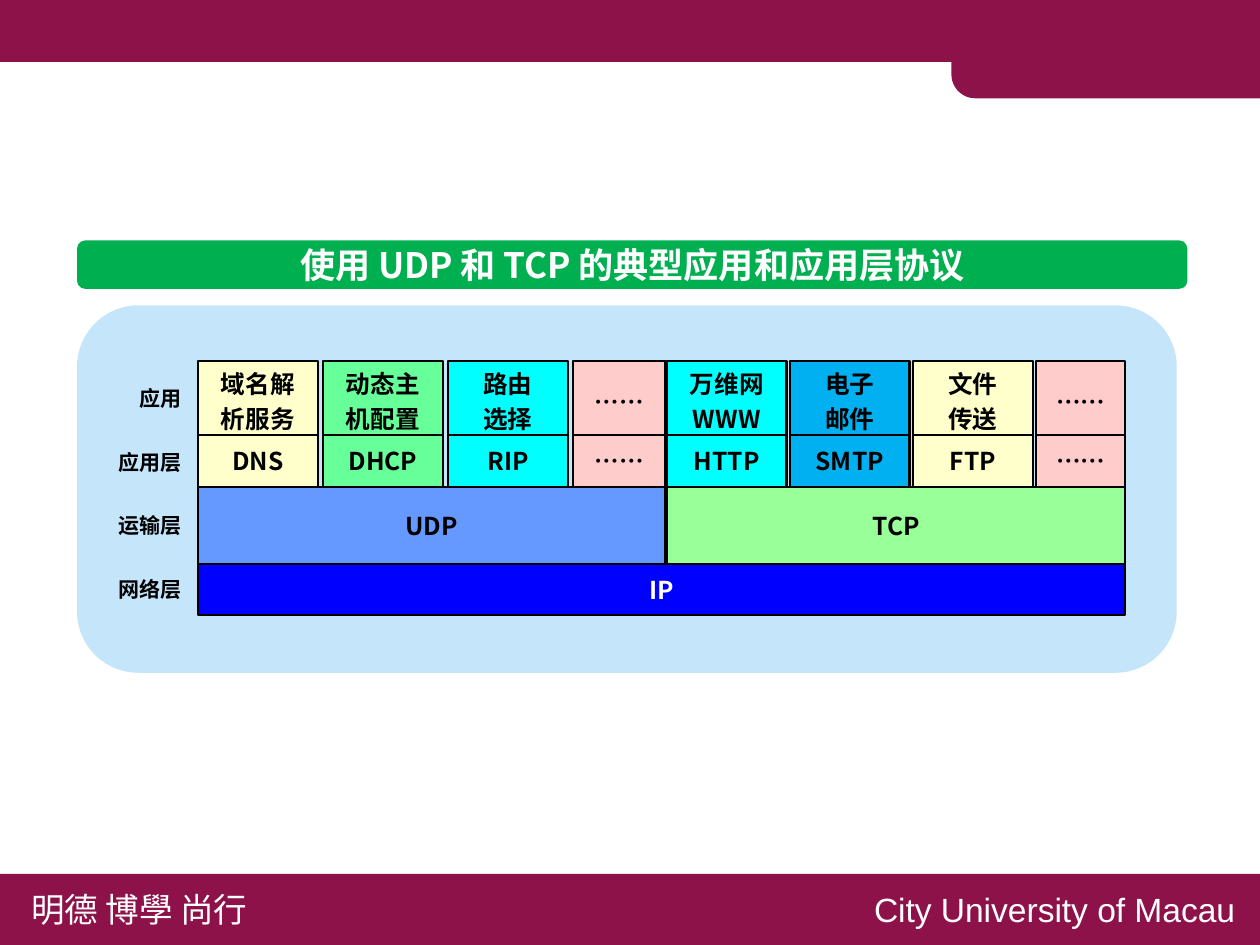
from dataclasses import dataclass

from lxml import etree
from pptx import Presentation
from pptx.dml.color import RGBColor
from pptx.enum.shapes import MSO_SHAPE
from pptx.enum.text import MSO_ANCHOR, MSO_AUTO_SIZE, PP_ALIGN
from pptx.oxml.ns import qn
from pptx.util import Inches, Pt

RECT = MSO_SHAPE.RECTANGLE
ROUND = MSO_SHAPE.ROUNDED_RECTANGLE
CORNER = MSO_SHAPE.ROUND_1_RECTANGLE
LEFT, MID, RIGHT = PP_ALIGN.LEFT, PP_ALIGN.CENTER, PP_ALIGN.RIGHT
CENTER = MSO_ANCHOR.MIDDLE
FIXED = MSO_AUTO_SIZE.NONE


@dataclass(frozen=True)
class Theme:
    cjk: str = "Noto Sans CJK SC"
    latin: str = "Arial"
    title: float = 16.7
    foot: float = 16
    cell: float = 11.7
    label: float = 10
    lead: float = 16.7
    wine: str = "8D124A"
    green: str = "00B050"
    panel: str = "C5E5FB"
    black: str = "000000"
    white: str = "FFFFFF"
    cream: str = "FFFFCC"
    mint: str = "66FF99"
    cyan: str = "00FFFF"
    sky: str = "00B0F0"
    pink: str = "FFCCCC"
    udp: str = "6699FF"
    tcp: str = "99FF99"
    ip: str = "0000FF"


def write(shape, text, *, size, color, font, bold=True, align=MID, lead=None):
    """Fill a shape with text, one paragraph per line."""
    frame = shape.text_frame
    frame.word_wrap = True
    frame.auto_size = FIXED
    frame.vertical_anchor = CENTER
    frame.margin_left = frame.margin_right = Inches(0.1)
    frame.margin_top = frame.margin_bottom = Inches(0.05)
    for i, line in enumerate(text.split("\n")):
        para = frame.add_paragraph() if i else frame.paragraphs[0]
        para.alignment = align
        if lead:
            para.line_spacing = Pt(lead)
        run = para.add_run()
        run.text = line
        run.font.name = font
        run.font.size = Pt(size)
        run.font.bold = bold
        run.font.color.rgb = RGBColor.from_string(color)
        east = etree.SubElement(run.font._element, qn("a:ea"))
        east.set("typeface", font)


class Page:
    def __init__(self, slide, theme):
        self.slide = slide
        self.theme = theme

    def block(self, box, fill, kind=RECT, line=None, adjust=None):
        shape = self.slide.shapes.add_shape(kind, *map(Inches, box))
        shape.shadow.inherit = False
        shape.fill.solid()
        shape.fill.fore_color.rgb = RGBColor.from_string(fill)
        if line:
            shape.line.color.rgb = RGBColor.from_string(line)
            shape.line.width = Pt(1)
        else:
            shape.line.fill.background()
        if adjust is not None:
            shape.adjustments[0] = adjust
        return shape

    def cell(self, box, text, fill, color=None, lead=None):
        t = self.theme
        shape = self.block(box, fill, line=t.black)
        write(shape, text, size=t.cell, color=color or t.black, font=t.cjk, lead=lead)

    def note(self, box, text, **style):
        write(self.slide.shapes.add_textbox(*map(Inches, box)), text, **style)

    def title(self, box, text):
        t = self.theme
        shape = self.slide.shapes.title
        shape.left, shape.top, shape.width, shape.height = map(Inches, box)
        write(shape, text, size=t.title, color=t.white, font=t.cjk)
        # Bring the title in front of its bar
        shape.element.getparent().append(shape.element)

    def stack(self, left, width, last, name, fill, apps):
        """Draw a transport block with its row of apps and protocols on top."""
        step = (width - last) / (len(apps) - 1)
        self.cell((left, 3.22, width, 0.51), name, fill)
        for i, (app, proto, color) in enumerate(apps):
            x = left + i * step
            wide = last if i == len(apps) - 1 else 0.79
            self.cell((x, 2.88, wide, 0.34), proto, color)
            self.cell((x, 2.39, wide, 0.49), app, color, lead=self.theme.lead)


def main():
    deck = Presentation()
    deck.slide_width, deck.slide_height = Inches(8.33), Inches(6.25)
    t = Theme()
    page = Page(deck.slides.add_slide(deck.slide_layouts[5]), t)

    # Header and footer bands
    page.block((0, 0, 8.33, 0.41), t.wine)
    tab = page.block((6.29, 0.02, 2.04, 0.63), t.wine, CORNER, adjust=0.25)
    tab.rotation = 180
    page.block((0, 5.78, 8.33, 0.47), t.wine)
    foot = dict(size=t.foot, color=t.white, bold=False, align=LEFT)
    page.note((0.11, 5.83, 1.68, 0.37), "明德 博學 尚行", font=t.cjk, **foot)
    page.note((5.68, 5.83, 2.62, 0.37), "City University of Macau", font=t.latin, **foot)

    # Title bar and panel
    page.block((0.51, 1.59, 7.34, 0.32), t.green, ROUND)
    page.title((0.51, 1.56, 7.34, 0.38), "使用 UDP 和 TCP 的典型应用和应用层协议")
    page.block((0.51, 2.02, 7.27, 2.43), t.panel, ROUND)

    # Protocol stacks
    page.cell((1.31, 3.73, 6.13, 0.34), "IP", t.ip, color=t.white)
    page.stack(4.41, 3.03, 0.59, "TCP", t.tcp, [
        ("万维网\nWWW", "HTTP", t.cyan),
        ("电子\n邮件", "SMTP", t.sky),
        ("文件\n传送", "FTP", t.cream),
        ("……", "……", t.pink),
    ])
    page.stack(1.31, 3.09, 0.61, "UDP", t.udp, [
        ("域名解析服务", "DNS", t.cream),
        ("动态主机配置", "DHCP", t.mint),
        ("路由\n选择", "RIP", t.cyan),
        ("……", "……", t.pink),
    ])

    # Layer labels
    layers = ["应用", "应用层", "运输层", "网络层"]
    for i, name in enumerate(layers):
        page.note((0.57, 2.5 + i * 0.42, 0.73, 0.27), name, size=t.label,
                  color=t.black, font=t.cjk, align=RIGHT)

    deck.save("out.pptx")


if __name__ == "__main__":
    main()
